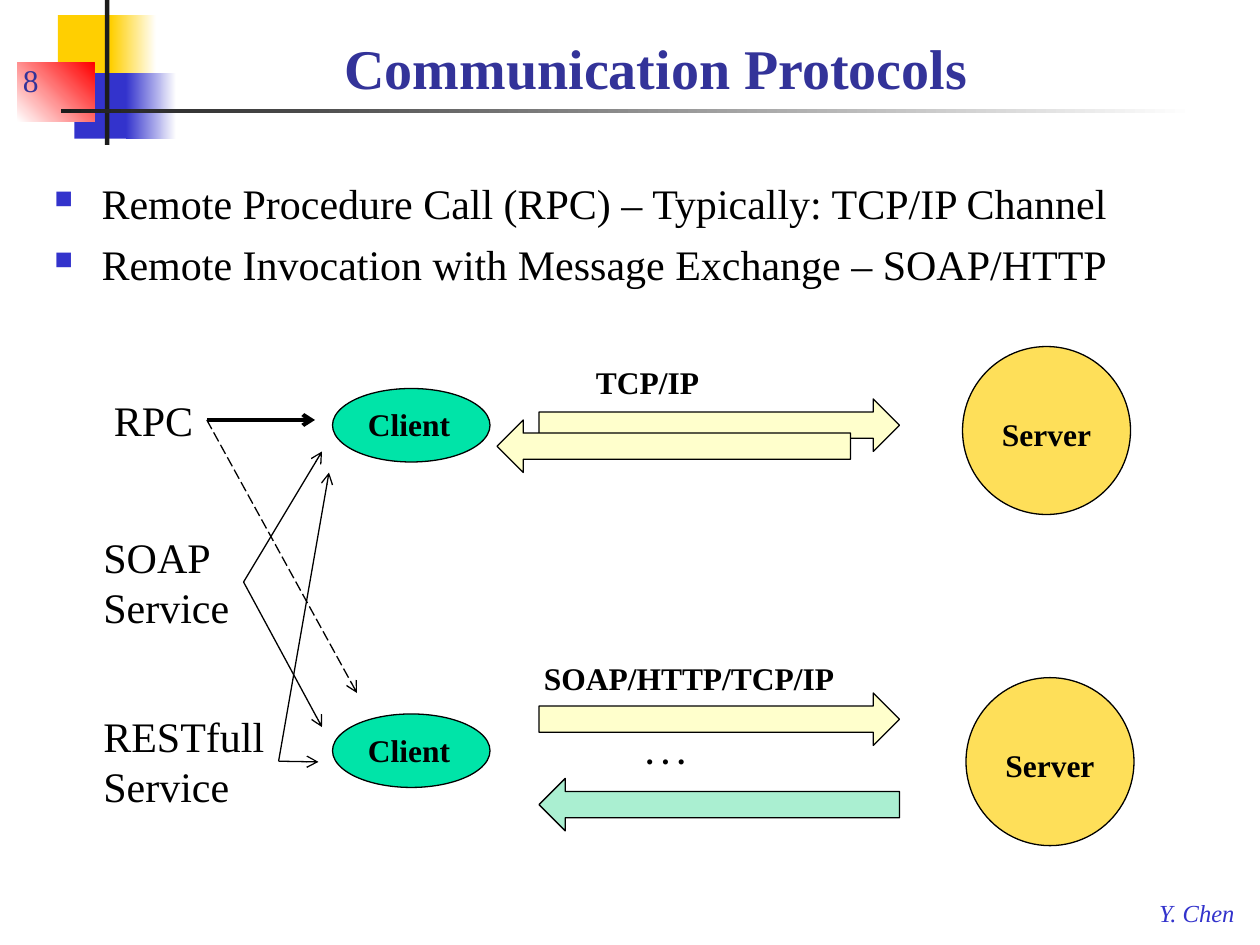
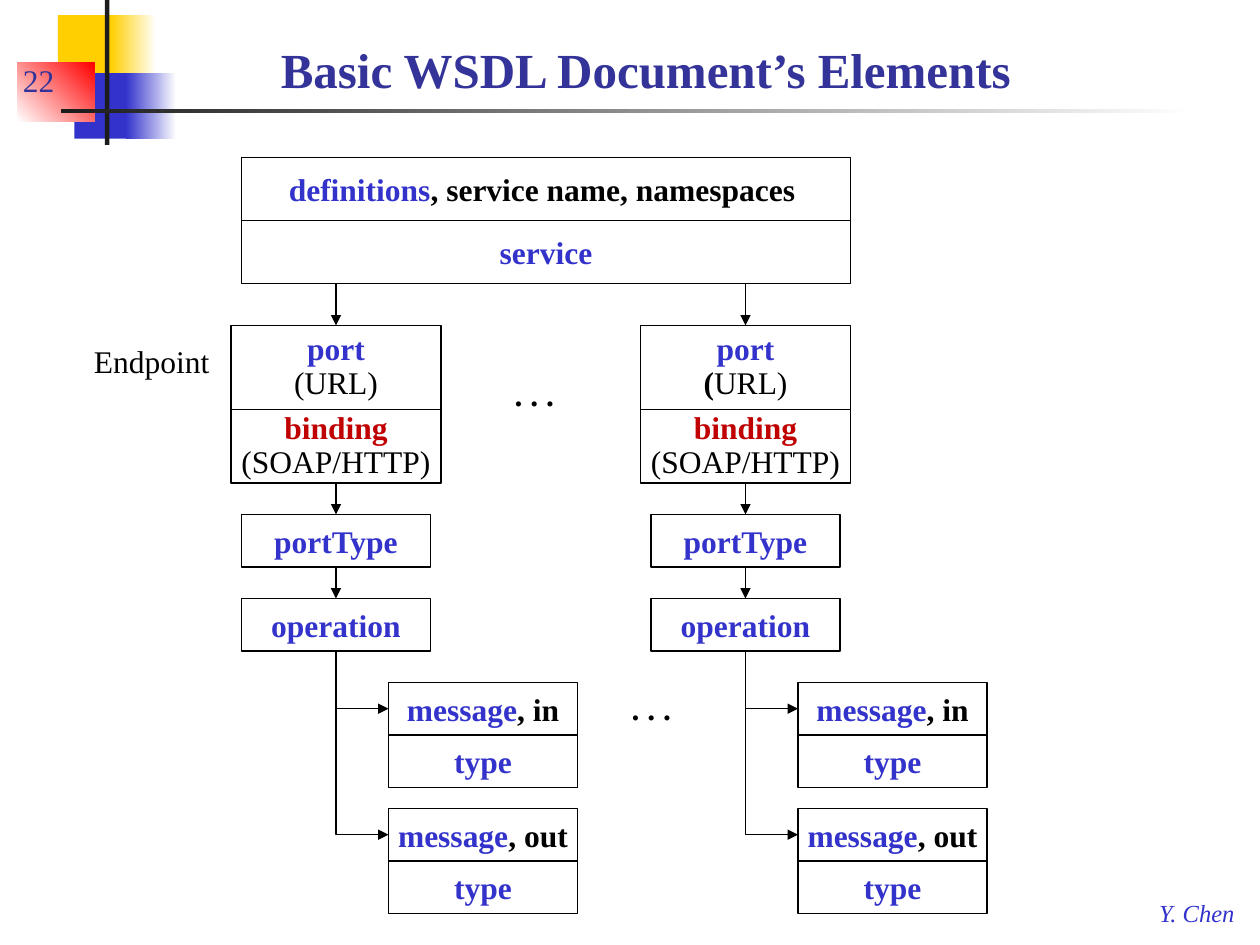
"""Build two lecture slides on service protocols and WSDL structure."""
from dataclasses import dataclass

from lxml import etree
from pptx import Presentation
from pptx.dml.color import RGBColor
from pptx.enum.dml import MSO_LINE
from pptx.enum.shapes import MSO_CONNECTOR, MSO_SHAPE
from pptx.enum.text import MSO_ANCHOR, MSO_AUTO_SIZE, PP_ALIGN
from pptx.oxml.ns import qn
from pptx.util import Pt

RECT, OVAL, ARROW = MSO_SHAPE.RECTANGLE, MSO_SHAPE.OVAL, MSO_SHAPE.RIGHT_ARROW
LEFT_ARROW = MSO_SHAPE.LEFT_ARROW
STRAIGHT, ELBOW = MSO_CONNECTOR.STRAIGHT, MSO_CONNECTOR.ELBOW
TOP, MIDDLE, BOTTOM = MSO_ANCHOR.TOP, MSO_ANCHOR.MIDDLE, MSO_ANCHOR.BOTTOM
LEFT, CENTER = PP_ALIGN.LEFT, PP_ALIGN.CENTER
LONG_DASH = MSO_LINE.LONG_DASH
FIT_TEXT = MSO_AUTO_SIZE.SHAPE_TO_FIT_TEXT


@dataclass(frozen=True)
class Theme:
    """Hold the colours, font and type sizes of the deck."""
    font: str = "Times New Roman"
    ink: str = "000000"
    paper: str = "FFFFFF"
    title: str = "333399"
    blue: str = "3333CC"
    yellow: str = "FFCF01"
    red: str = "FF0000"
    rule: str = "1C1C1C"
    binding: str = "C00000"
    client: str = "00E4A8"
    server: str = "FEDF59"
    request: str = "FFFFCC"
    reply: str = "AAEFD1"
    body_size: int = 24
    label_size: int = 18
    footer_size: int = 14
    thin: float = 0.75
    thick: float = 2.25


THEME = Theme()


@dataclass(frozen=True)
class Words:
    """Hold one run of text and its look."""
    text: str
    color: str = THEME.ink
    size: int = THEME.label_size
    bold: bool = False
    italic: bool = False


def rgb(color):
    """Turn a hex string into a colour."""
    return RGBColor.from_string(color)


def write(shape, lines, align=LEFT, anchor=TOP, wrap=True, spacing=None):
    """Write lines, each a list of Words, into a shape."""
    frame = shape.text_frame
    frame.word_wrap = wrap
    frame.vertical_anchor = anchor
    for index, line in enumerate(lines):
        paragraph = frame.add_paragraph() if index else frame.paragraphs[0]
        paragraph.alignment = align
        if spacing:
            paragraph.line_spacing = spacing
        for words in line:
            run = paragraph.add_run()
            run.text = words.text
            font = run.font
            font.name, font.size = THEME.font, Pt(words.size)
            font.bold, font.italic = words.bold, words.italic
            font.color.rgb = rgb(words.color)
    return frame


def add_text(slide, box, lines, **layout):
    """Add a text box at (left, top, width, height)."""
    shape = slide.shapes.add_textbox(*map(Pt, box))
    return write(shape, lines, **layout)


def add_label(slide, box, *lines):
    """Add a text box that hugs its unwrapped lines."""
    frame = add_text(slide, box, [[line] for line in lines], wrap=False)
    frame.auto_size = FIT_TEXT


def add_figure(slide, kind, box, fill, outlined=True):
    """Add a filled preset shape, with a thin outline if wanted."""
    shape = slide.shapes.add_shape(kind, *map(Pt, box))
    shape.shadow.inherit = False
    shape.fill.solid()
    shape.fill.fore_color.rgb = rgb(fill)
    if outlined:
        shape.line.color.rgb = rgb(THEME.ink)
        shape.line.width = Pt(THEME.thin)
    else:
        shape.line.fill.background()
    return shape


def add_band(slide, box, start, end=None, angle=0):
    """Add a borderless band, fading from start to end if end is given."""
    band = add_figure(slide, RECT, box, start, outlined=False)
    if end:
        band.fill.gradient()
        band.fill.gradient_angle = angle
        for stop, color in zip(band.fill.gradient_stops, (start, end)):
            stop.color.rgb = rgb(color)


def style_line(connector, head, width=THEME.thin, dash=None):
    """Set line look and arrowhead, and remove the shadow."""
    line = connector.line
    line.color.rgb = rgb(THEME.ink)
    line.width = Pt(width)
    if dash:
        line.dash_style = dash
    properties = connector._element.spPr
    etree.SubElement(properties.find(qn("a:ln")), qn("a:tailEnd"), type=head)
    etree.SubElement(properties, qn("a:effectLst"))


def add_arrow(slide, start, end, head="triangle", **look):
    """Add a straight arrow between two points."""
    connector = slide.shapes.add_connector(STRAIGHT, *map(Pt, start + end))
    style_line(connector, head, **look)


def add_branch(slide, start, end):
    """Add an arrow that runs down and then turns right."""
    (x1, y1), (x2, y2) = start, end
    mid_x, mid_y = (x1 + x2) / 2, (y1 + y2) / 2
    half_drop, half_run = (y2 - y1) / 2, (x2 - x1) / 2
    connector = slide.shapes.add_connector(
        ELBOW, Pt(mid_x - half_drop), Pt(mid_y - half_run),
        Pt(mid_x + half_drop), Pt(mid_y + half_run))
    properties = connector._element.spPr
    frame = properties.find(qn("a:xfrm"))
    frame.set("rot", "16200000")
    frame.set("flipH", "1")
    properties.find(qn("a:prstGeom")).set("prst", "bentConnector2")
    style_line(connector, "triangle")


def add_bullets(slide, box, texts):
    """Add a list with small square bullets."""
    lines = [[Words(text, size=THEME.body_size)] for text in texts]
    frame = add_text(slide, box, lines)
    for index, paragraph in enumerate(frame.paragraphs):
        properties = paragraph._p.get_or_add_pPr()
        properties.set("marL", str(Pt(27)))
        properties.set("indent", str(-Pt(27)))
        color = etree.SubElement(properties, qn("a:buClr"))
        etree.SubElement(color, qn("a:srgbClr"), val=THEME.blue)
        etree.SubElement(properties, qn("a:buSzPct"), val="60000")
        etree.SubElement(properties, qn("a:buChar"), char="■")
        if index:
            paragraph.space_before = Pt(5.75)


def add_frame(deck, title, title_box, title_size, number):
    """Add a slide with the shared decoration, title, number and footer."""
    slide = deck.slides.add_slide(deck.slide_layouts[6])
    add_band(slide, (33.1, 8.6, 34.6, 37.4), THEME.yellow)
    add_band(slide, (63.4, 8.6, 25.9, 37.4), THEME.yellow, THEME.paper)
    add_band(slide, (42.5, 41.8, 33.1, 37.4), THEME.blue)
    add_band(slide, (72, 41.8, 28.8, 37.4), THEME.blue, THEME.paper)
    add_band(slide, (10, 36, 44, 33.5), THEME.paper, THEME.red, 45)
    add_band(slide, (60, 0, 2.5, 82.8), THEME.rule)
    add_band(slide, (34.8, 62.2, 648, 2.3), THEME.rule, THEME.paper)
    add_label(slide, (655.2, 509.8, 59, 23.8),
              Words("Y. Chen", THEME.blue, THEME.footer_size, italic=True))
    add_text(slide, title_box, [[Words(title, THEME.title, title_size, bold=True)]],
             align=CENTER, anchor=BOTTOM)
    add_text(slide, (6, 24, 60, 36), [[Words(number, THEME.title)]], anchor=BOTTOM)
    return slide


def add_client(slide, top):
    """Add a client oval."""
    client = add_figure(slide, OVAL, (190, top, 90, 42), THEME.client)
    write(client, [[Words("Client", bold=True)]])


def add_server(slide, left, top):
    """Add a server circle with its name just below the middle."""
    server = add_figure(slide, OVAL, (left, top, 96, 96), THEME.server)
    frame = write(server, [[Words("Server", bold=True)]], align=CENTER, anchor=MIDDLE)
    frame.margin_top, frame.margin_bottom = Pt(8), Pt(4)


def build_protocols(deck):
    """Build the slide on communication protocols."""
    slide = add_frame(deck, "Communication Protocols", (132, 12, 486, 49), 32, "8")
    add_bullets(slide, (24, 98, 690, 90), [
        "Remote Procedure Call (RPC) – Typically: TCP/IP Channel",
        "Remote Invocation with Message Exchange – SOAP/HTTP"])

    for client_top, server_left, server_top in ((222, 550, 198), (408, 552, 387.2)):
        add_client(slide, client_top)
        add_server(slide, server_left, server_top)
    for kind, box, fill in (
            (ARROW, (308, 228, 206, 30), THEME.request),
            (LEFT_ARROW, (284, 240, 202, 30), THEME.request),
            (ARROW, (308, 396, 206, 30), THEME.request),
            (LEFT_ARROW, (308, 444.8, 206, 30), THEME.reply)):
        add_figure(slide, kind, box, fill)

    for box, text in (((333.4, 204, 74, 29), "TCP/IP"),
                      ((303.7, 373.2, 182, 29), "SOAP/HTTP/TCP/IP"),
                      ((362, 415.6, 37.5, 29), ". . .")):
        add_label(slide, box, Words(text, bold=True))
    for box, lines in (((58, 222, 60.5, 36.5), ["RPC"]),
                       ((52, 300, 87, 65.5), ["SOAP", "Service"]),
                       ((52, 402.5, 107, 65.5), ["RESTfull", "Service"])):
        add_label(slide, box, *(Words(line, size=THEME.body_size) for line in lines))

    rpc, soap, rest = (118.2, 240), (139.2, 332.6), (159.2, 435)
    add_arrow(slide, rpc, (180, 240), "arrow", width=THEME.thick)
    add_arrow(slide, rpc, (204, 396), "arrow", dash=LONG_DASH)
    for service, client in ((soap, (184, 258)), (soap, (184, 415.5)),
                            (rest, (188, 270)), (rest, (182, 435.4))):
        add_arrow(slide, service, client, "arrow")


def add_element(slide, box, *lines, spacing=None):
    """Add an outlined box for one WSDL element."""
    element = add_figure(slide, RECT, box, THEME.paper)
    write(element, lines, align=CENTER, anchor=MIDDLE, wrap=False, spacing=spacing)


def tag(text, color=THEME.blue):
    """Return a bold element name."""
    return Words(text, color, bold=True)


def add_port_chain(slide, axis, url):
    """Add a port and everything below it, around a vertical axis."""
    port_left, type_left, message_left = axis - 60, axis - 54, axis + 30
    add_element(slide, (port_left, 186, 120, 48), [tag("port")], url, spacing=0.9)
    add_element(slide, (port_left, 234, 120, 42), [tag("binding", THEME.binding)],
                [Words("(SOAP/HTTP)")], spacing=0.9)
    add_element(slide, (type_left, 294, 108, 30), [tag("portType")])
    add_element(slide, (type_left, 342, 108, 30), [tag("operation")])
    for start, end in ((162, 186), (276, 294), (324, 342)):
        add_arrow(slide, (axis, start), (axis, end))
    for top, direction in ((390, ", in"), (462, ", out")):
        add_element(slide, (message_left, top, 108, 30),
                    [tag("message"), tag(direction, THEME.ink)])
        add_element(slide, (message_left, top + 30, 108, 30), [tag("type")])
        add_branch(slide, (axis, 372), (message_left, top + 15))


def build_wsdl(deck):
    """Build the slide on the elements of a WSDL document."""
    slide = add_frame(deck, "Basic WSDL Document’s Elements", (72, 12, 594, 48), 28, "22")
    add_element(slide, (138, 90, 348, 36),
                [tag("definitions"), tag(", service name, namespaces ", THEME.ink)])
    add_element(slide, (138, 126, 348, 36), [tag("service")])
    add_port_chain(slide, 192, [Words("(URL)")])
    add_port_chain(slide, 426, [tag("(", THEME.ink), Words("URL)")])
    for left, top in ((287, 211), (353.8, 390)):
        add_label(slide, (left, top, 37, 29), tag(". . .", THEME.ink))
    add_label(slide, (46.6, 192, 81, 29), Words("Endpoint"))


def main():
    """Build and save the deck."""
    deck = Presentation()
    deck.slide_width, deck.slide_height = Pt(720), Pt(540)
    build_protocols(deck)
    build_wsdl(deck)
    deck.save("out.pptx")


if __name__ == "__main__":
    main()
